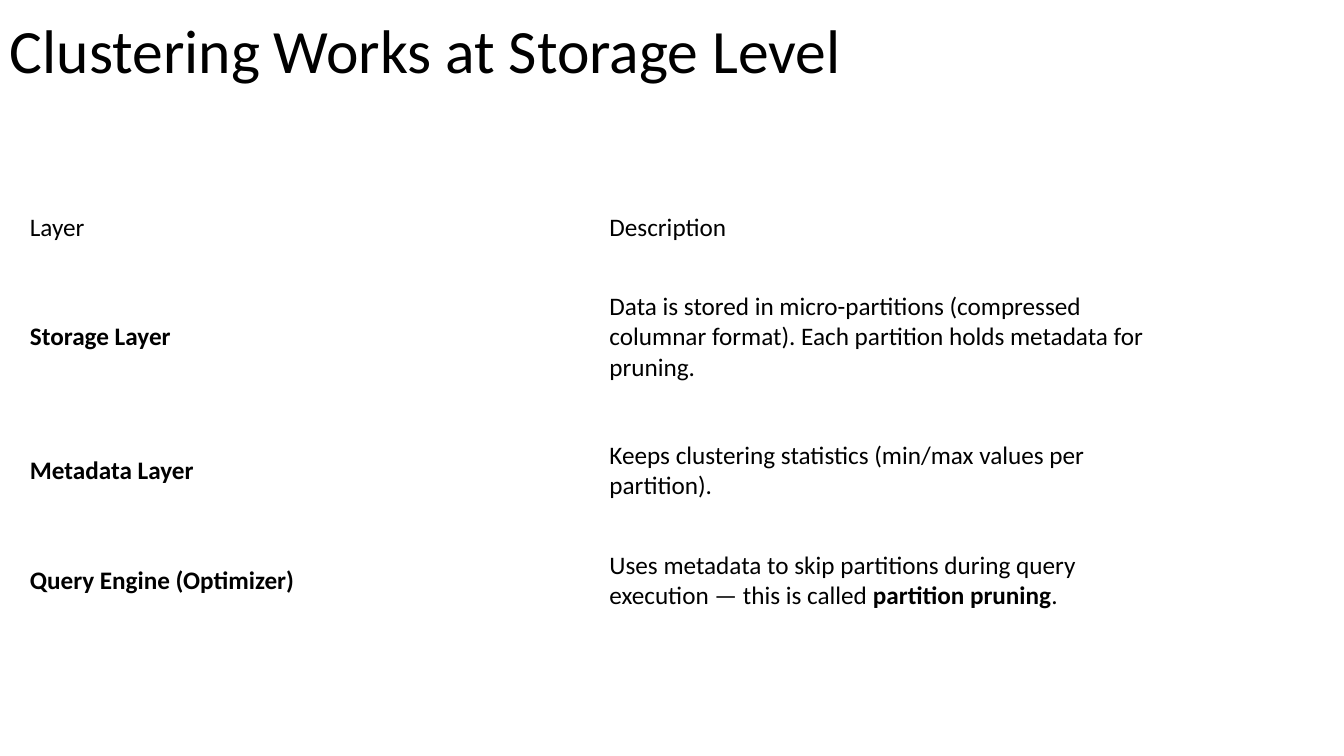
from pptx import Presentation
from pptx.dml.color import RGBColor
from pptx.enum import text
from pptx.util import Cm, Pt

# Content: each cell is a list of (words, bold) runs
TITLE = "Clustering Works at Storage Level"
ROWS = [
    ([("Layer", False)], [("Description", False)]),
    ([("Storage Layer", True)],
     [("Data is stored in micro-partitions (compressed columnar format). "
       "Each partition holds metadata for pruning.", False)]),
    ([("Metadata Layer", True)],
     [("Keeps clustering statistics (min/max values per partition).", False)]),
    ([("Query Engine (Optimizer)", True)],
     [("Uses metadata to skip partitions during query execution — this is called ", False),
      ("partition pruning", True), (".", False)]),
]

# Theme and layout (lengths in cm)
THEME = {"font": "Calibri", "ink": RGBColor(0, 0, 0), "title": Pt(44), "body": Pt(18)}
WIDTH = 29.21
ROW_HEIGHTS = [1.57, 3.96, 2.77, 2.77]


def add_runs(p, runs, size):
    for words, bold in runs:
        r = p.add_run()
        r.text = words
        r.font.name = THEME["font"]
        r.font.size = size
        r.font.bold = bold
        r.font.color.rgb = THEME["ink"]


prs = Presentation()
prs.slide_width, prs.slide_height = Cm(33.87), Cm(19.05)
s = prs.slides.add_slide(prs.slide_layouts[6])

# Title
tf = s.shapes.add_textbox(Cm(0), Cm(0.05), Cm(WIDTH), Cm(2.62)).text_frame
tf.word_wrap = True
tf.vertical_anchor = text.MSO_ANCHOR.MIDDLE
p = tf.paragraphs[0]
p.line_spacing = 0.9
add_runs(p, [(TITLE, False)], THEME["title"])

# Layer table, plain and unfilled
columns = len(ROWS[0])
table = s.shapes.add_table(len(ROWS), columns, Cm(0.5), Cm(4.95),
                           Cm(WIDTH), Cm(sum(ROW_HEIGHTS))).table
table.first_row = False
table.horz_banding = False
for column in table.columns:
    column.width = Cm(WIDTH / columns)
for i, (cells, height) in enumerate(zip(ROWS, ROW_HEIGHTS)):
    table.rows[i].height = Cm(height)
    for j, runs in enumerate(cells):
        cell = table.cell(i, j)
        cell.fill.background()
        cell.vertical_anchor = text.MSO_ANCHOR.MIDDLE
        add_runs(cell.text_frame.paragraphs[0], runs, THEME["body"])

prs.save("out.pptx")
